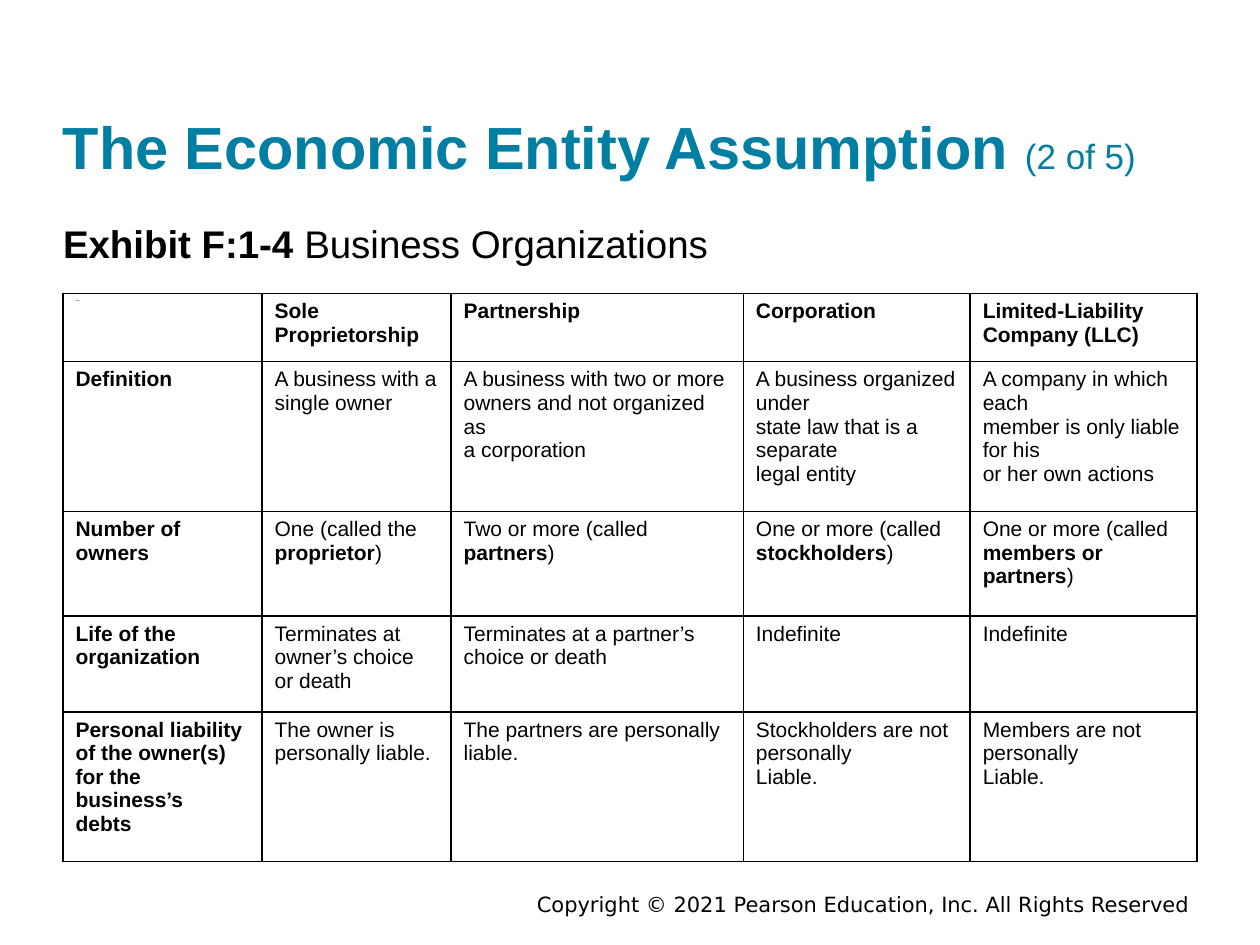
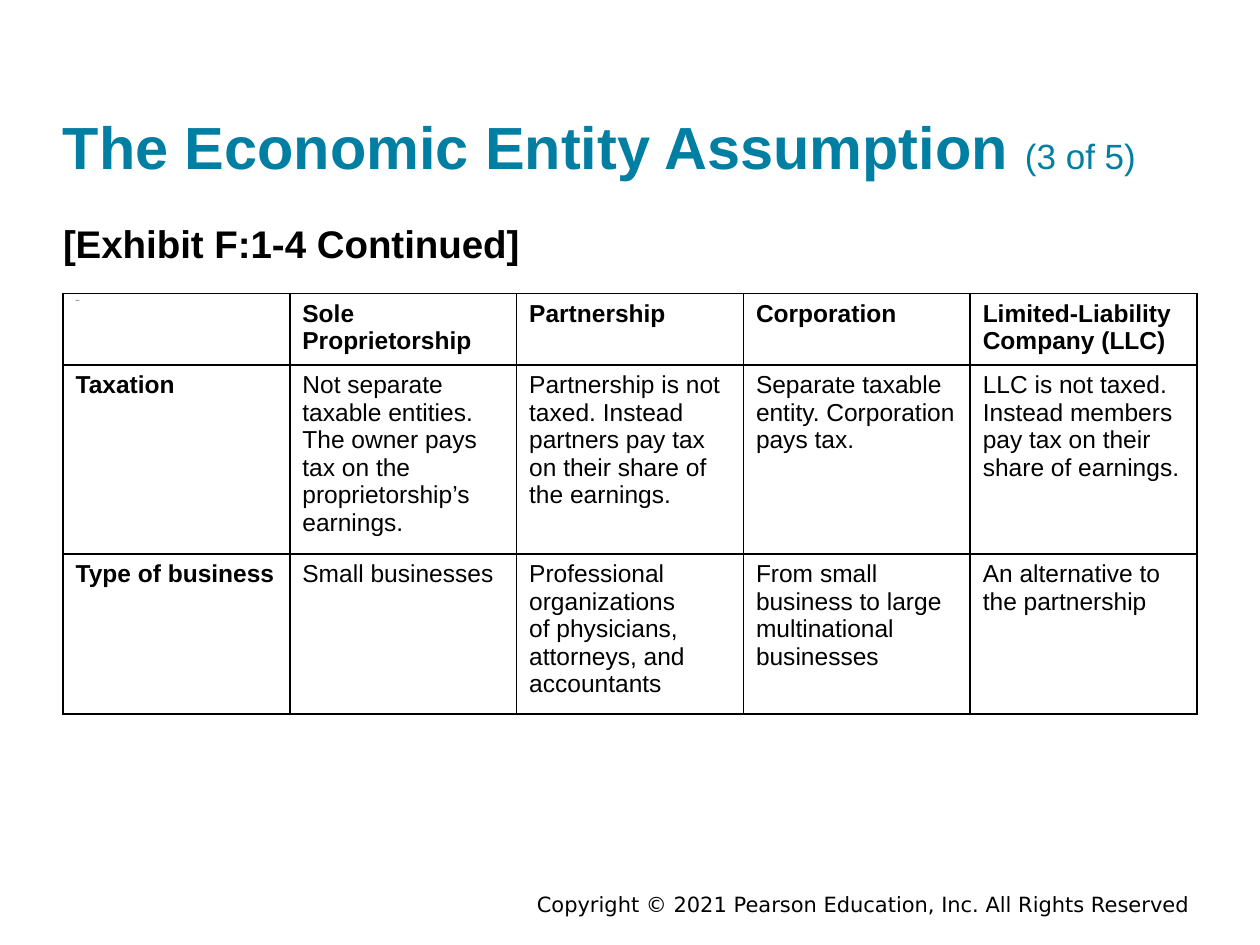
import pptx
import pptx.util
import pptx.dml.color
import pptx.enum.text
from lxml import etree
from pptx.util import Inches, Pt

TEAL = pptx.dml.color.RGBColor(0x00, 0x7F, 0xA3)
BLACK = pptx.dml.color.RGBColor(0x00, 0x00, 0x00)
FONT = "Arial"
LEFT, WIDTH = 0.5, 9
FOOTER = "Copyright © 2021 Pearson Education, Inc. All Rights Reserved"
NS = "http://schemas.openxmlformats.org/drawingml/2006/main"

# Text between ** marks is bold; each line is a paragraph.
HEADS = ["Blank", "Sole Proprietorship", "Partnership", "Corporation",
         "Limited-Liability\nCompany (LLC)"]
FORMS = [
    HEADS,
    ["Definition",
     "A business with a single owner",
     "A business with two or more\nowners and not organized as\na corporation",
     "A business organized under\nstate law that is a separate\nlegal entity",
     "A company in which each\nmember is only liable for his\nor her own actions"],
    ["Number of owners",
     "One (called the **proprietor**)",
     "Two or more (called **partners**)",
     "One or more (called **stockholders**)",
     "One or more (called\n**members or partners**)"],
    ["Life of the\norganization",
     "Terminates at owner’s choice\nor death",
     "Terminates at a partner’s\nchoice or death",
     "Indefinite",
     "Indefinite"],
    ["Personal liability\nof the owner(s)\nfor the business’s\ndebts",
     "The owner is personally liable.",
     "The partners are personally liable.",
     "Stockholders are not personally\nLiable.",
     "Members are not personally\nLiable."],
]
TAXES = [
    HEADS,
    ["Taxation",
     "Not separate taxable entities.\nThe owner pays tax on the\nproprietorship’s earnings.",
     "Partnership is not taxed. Instead partners pay tax on their share of the earnings.",
     "Separate taxable entity. Corporation pays tax.",
     "LLC is not taxed. Instead members pay tax on their\nshare of earnings."],
    ["Type of business",
     "Small businesses",
     "Professional organizations\nof physicians, attorneys, and\naccountants",
     "From small business to large multinational businesses",
     "An alternative to the partnership"],
]


def write(frame, text, size, color=BLACK, bold=False, font=FONT):
    """Fill a text frame and return its last paragraph."""
    for i, line in enumerate(text.split("\n")):
        para = frame.add_paragraph() if i else frame.paragraphs[0]
        para.font.name = font
        para.font.size = Pt(size)
        para.font.color.rgb = color
        parts = line.split("**")
        if len(parts) == 1:
            para.font.bold = bold
        for j, part in enumerate(parts):
            if part:
                run = para.add_run()
                run.text = part
                if len(parts) > 1:
                    run.font.bold = j % 2 == 1
    return para


def add_box(slide, left, top, width, height, inset=True):
    box = slide.shapes.add_textbox(*map(Inches, (left, top, width, height)))
    frame = box.text_frame
    frame.word_wrap = True
    if not inset:
        frame.margin_left = frame.margin_right = 0
        frame.margin_top = frame.margin_bottom = 0
    return frame


def add_title(slide, page):
    frame = add_box(slide, LEFT, 0.24, WIDTH, 1.2, inset=False)
    frame.vertical_anchor = pptx.enum.text.MSO_ANCHOR.BOTTOM
    para = write(frame, f"**The Economic Entity Assumption **({page} of 5)", 34, TEAL)
    para.runs[-1].font.size = Pt(20)


def add_footer(slide):
    frame = add_box(slide, 2.95, 7.03, 6.59, 0.3)
    para = write(frame, FOOTER, 12, font="DejaVu Sans")
    para.alignment = pptx.enum.text.PP_ALIGN.RIGHT


def add_edges(cell):
    """Draw a thin black line on each side of a cell."""
    props = cell._tc.get_or_add_tcPr()
    for i, side in enumerate(("lnL", "lnR", "lnT", "lnB")):
        line = etree.Element(f"{{{NS}}}{side}", w=str(Pt(1)))
        fill = etree.SubElement(line, f"{{{NS}}}solidFill")
        etree.SubElement(fill, f"{{{NS}}}srgbClr", val=str(BLACK))
        props.insert(i, line)


def add_grid(slide, rows, widths, heights, size):
    frame = slide.shapes.add_table(
        len(rows), len(widths), Inches(LEFT), Inches(2.33),
        Inches(WIDTH), Inches(sum(heights)))
    table = frame.table
    for col, width in zip(table.columns, widths):
        col.width = Inches(width)
    for row, height in zip(table.rows, heights):
        row.height = Inches(height)
    for r, texts in enumerate(rows):
        for c, text in enumerate(texts):
            cell = table.cell(r, c)
            cell.fill.background()
            add_edges(cell)
            corner = r == c == 0
            write(cell.text_frame, text, 1 if corner else size,
                  bold=not corner and (r == 0 or c == 0))


def add_page(deck, page, label, rows, widths, heights, size):
    slide = deck.slides.add_slide(deck.slide_layouts[6])
    add_footer(slide)
    add_title(slide, page)
    write(add_box(slide, LEFT, 1.75, 5.42, 0.46, inset=False), label, 22)
    add_grid(slide, rows, widths, heights, size)


def main():
    deck = pptx.Presentation()
    deck.slide_width, deck.slide_height = Inches(10), Inches(7.5)
    add_page(deck, 2, "**Exhibit F:1-4 **Business Organizations", FORMS,
             [1.58, 1.5, 2.32, 1.8, 1.8], [0.54, 1.19, 0.83, 0.76, 1.19], 12)
    add_page(deck, 3, "**[Exhibit F:1-4 Continued]**", TAXES,
             [WIDTH / 5] * 5, [0.54, 1.41, 1.19], 14)
    deck.save("out.pptx")


if __name__ == "__main__":
    main()
